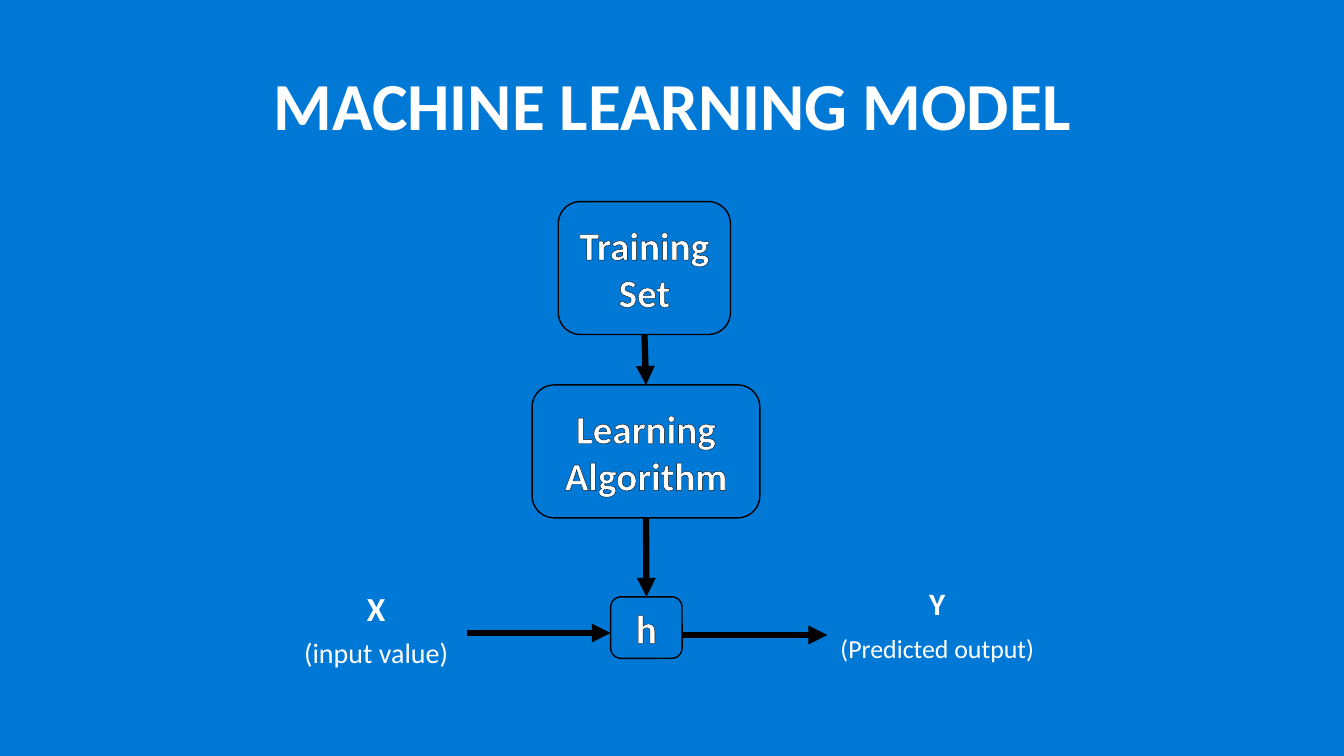
from dataclasses import dataclass

from lxml.etree import SubElement
from pptx import Presentation
from pptx.dml.color import RGBColor
from pptx.enum.shapes import MSO_CONNECTOR as CONNECTOR, MSO_SHAPE as SHAPE
from pptx.enum.text import MSO_ANCHOR as ANCHOR, MSO_AUTO_SIZE as AUTO_SIZE, PP_ALIGN as ALIGN
from pptx.oxml import parse_xml
from pptx.oxml.ns import nsdecls, qn
from pptx.util import Cm, Pt

TOP, BOTTOM = 0, 2


@dataclass(frozen=True)
class Theme:
    font: str = "Calibri"
    blue: RGBColor = RGBColor(0x00, 0x78, 0xD6)
    white: RGBColor = RGBColor(0xFF, 0xFF, 0xFF)
    black: RGBColor = RGBColor(0x00, 0x00, 0x00)
    title: float = 48
    box: float = 28
    input_name: float = 24
    input_note: float = 20
    output_name: float = 22.2
    output_note: float = 18.5
    box_line: float = 1
    arrow_line: float = 4.5


THEME = Theme()


def place(shape, left, top, width, height):
    shape.left, shape.top = Cm(left), Cm(top)
    shape.width, shape.height = Cm(width), Cm(height)


def write(paragraph, words, size, bold=True):
    paragraph.alignment = ALIGN.CENTER
    run = paragraph.add_run()
    run.text = words
    run.font.name = THEME.font
    run.font.size = Pt(size)
    run.font.bold = bold
    run.font.color.rgb = THEME.white
    return run


def outline_letters(run):
    run.font._element.insert(0, parse_xml(
        f'<a:ln w="{Pt(0.75)}" {nsdecls("a")}><a:solidFill>'
        f'<a:srgbClr val="{THEME.black}"/></a:solidFill></a:ln>'))


def fill_title(title, words):
    place(title, 2.34, 0.89, 29.21, 3.68)
    frame = title.text_frame
    frame.auto_size = AUTO_SIZE.NONE
    frame.vertical_anchor = ANCHOR.MIDDLE
    frame.paragraphs[0].line_spacing = 0.9
    write(frame.paragraphs[0], words, THEME.title)


def fill_label(label, bounds, lines, line_spacing):
    """Set a bold name over a plain note, without bullets."""
    place(label, *bounds)
    frame = label.text_frame
    frame.auto_size = AUTO_SIZE.NONE
    for i, (words, size) in enumerate(lines):
        paragraph = frame.add_paragraph() if i else frame.paragraphs[0]
        paragraph.line_spacing = line_spacing
        paragraph.space_before = Pt(10)
        properties = paragraph._p.get_or_add_pPr()
        properties.set("marL", "0")
        properties.set("indent", "0")
        SubElement(properties, qn("a:buNone"))
        write(paragraph, words, size, bold=i == 0)


def add_box(slide, words, left, top, width, height):
    box = slide.shapes.add_shape(
        SHAPE.ROUNDED_RECTANGLE, Cm(left), Cm(top), Cm(width), Cm(height))
    box.shadow.inherit = False
    box.fill.solid()
    box.fill.fore_color.rgb = THEME.blue
    box.line.color.rgb = THEME.black
    box.line.width = Pt(THEME.box_line)
    box.text_frame.word_wrap = True
    box.text_frame.vertical_anchor = ANCHOR.MIDDLE
    outline_letters(write(box.text_frame.paragraphs[0], words, THEME.box))
    return box


def add_arrow(slide, start_x=0, end_x=0, y=0):
    arrow = slide.shapes.add_connector(
        CONNECTOR.STRAIGHT, Cm(start_x), Cm(y), Cm(end_x), Cm(y))
    arrow.line.color.rgb = THEME.black
    arrow.line.width = Pt(THEME.arrow_line)
    SubElement(arrow.line._get_or_add_ln(), qn("a:tailEnd"), type="triangle")
    SubElement(arrow._element.spPr, qn("a:effectLst"))
    return arrow


def join_down(slide, upper, lower):
    arrow = add_arrow(slide)
    arrow.begin_connect(upper, BOTTOM)
    arrow.end_connect(lower, TOP)


def main():
    deck = Presentation()
    deck.slide_width, deck.slide_height = Cm(33.87), Cm(19.05)
    two_content = deck.slide_layouts[3]
    slide = deck.slides.add_slide(two_content)
    slide.background.fill.solid()
    slide.background.fill.fore_color.rgb = THEME.blue

    title, input_label, output_label = slide.placeholders
    fill_title(title, "MACHINE LEARNING MODEL")
    fill_label(input_label, (7.37, 14.88, 4.22, 2.21),
               [("X", THEME.input_name), ("(input value)", THEME.input_note)], 0.8)
    fill_label(output_label, (20.85, 14.71, 5.54, 2.59),
               [("Y", THEME.output_name), ("(Predicted output)", THEME.output_note)], 0.9)

    training = add_box(slide, "Training Set", 14.07, 5.08, 4.34, 3.35)
    algorithm = add_box(slide, "Learning Algorithm", 13.41, 9.7, 5.74, 3.35)
    hypothesis = add_box(slide, "h", 15.39, 15.04, 1.8, 1.55)

    join_down(slide, training, algorithm)
    join_down(slide, algorithm, hypothesis)
    add_arrow(slide, 11.76, 15.39, 15.95)
    add_arrow(slide, 17.2, 20.85, 16)

    deck.save("out.pptx")


if __name__ == "__main__":
    main()
